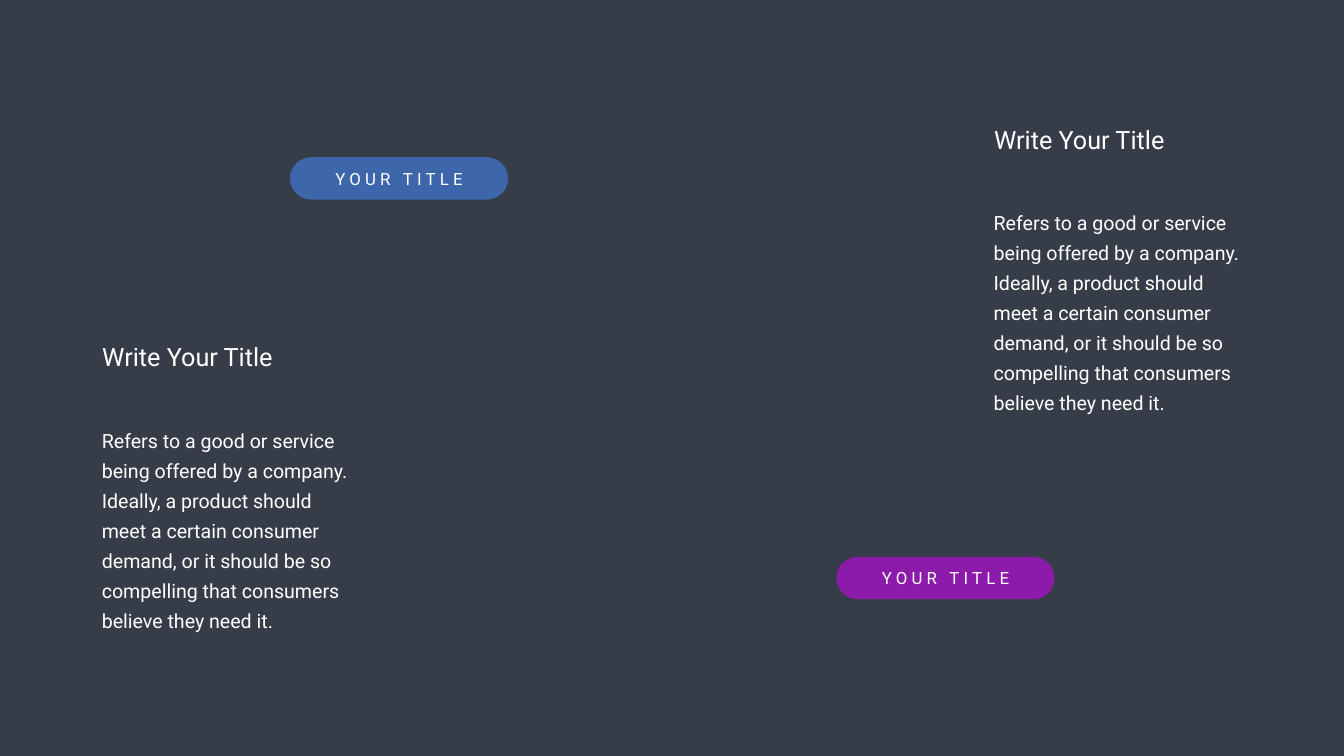
from pptx import Presentation
from pptx.dml.color import RGBColor
from pptx.enum import shapes, text
from pptx.util import Pt

SLIDE_SIZE = (1919.52, 1080)
BACKGROUND, WHITE = "363D48", "FFFFFF"
LABEL = "YOUR TITLE"
HEADING = "Write Your Title"
BODY = (
    "Refers to a good or service being offered by a company. "
    "Ideally, a product should meet a certain consumer demand, "
    "or it should be so compelling that consumers believe they need it."
)
BUTTONS = [(1194.48, 795.6, "8C1BAB"), (414, 224.64, "3D67AA")]
ARTICLES = [(128.16, 594), (1401.84, 282.96)]
BUTTON_SIZE, LABEL_SIZE = (311.76, 60.48), (207.36, 36)
BODY_SIZE, HEADING_SIZE = (389.52, 317.52), (378.72, 51.12)
HEADING_RISE = 109.44
BODY_FRAME = {
    "margin_left": Pt(17.28),
    "margin_right": Pt(17.28),
    "margin_top": Pt(8.64),
    "margin_bottom": Pt(8.64),
}


def paint(fill, color):
    """Fill with one solid colour."""
    fill.solid()
    fill.fore_color.rgb = RGBColor.from_string(color)


def apply(target, values):
    """Set each attribute named in the format values."""
    for name, value in values.items():
        setattr(target, name, value)


def add_words(group, words, left, top, size, points, frame=None, paragraph=None):
    """Add white text to the group and return its run."""
    box = group.shapes.add_textbox(Pt(left), Pt(top), *map(Pt, size))
    apply(box.text_frame, {
        "word_wrap": True,
        "auto_size": text.MSO_AUTO_SIZE.SHAPE_TO_FIT_TEXT,
        **(frame or {}),
    })
    line = box.text_frame.paragraphs[0]
    apply(line, paragraph or {})
    run = line.add_run()
    run.text = words
    apply(run.font, {"name": "Roboto", "size": Pt(points)})
    paint(run.font.fill, WHITE)
    return run


def add_button(slide, left, top, color):
    """Add a pill with a widely spaced label centred on it."""
    group = slide.shapes.add_group_shape()
    pill = group.shapes.add_shape(
        shapes.MSO_SHAPE.ROUNDED_RECTANGLE, Pt(left), Pt(top), *map(Pt, BUTTON_SIZE))
    pill.adjustments[0] = 0.5
    pill.shadow.inherit = False
    paint(pill.fill, color)
    pill.line.fill.background()
    inset_x, inset_y = [(outer - inner) / 2 for outer, inner in zip(BUTTON_SIZE, LABEL_SIZE)]
    label = add_words(
        group, LABEL, left + inset_x, top + inset_y, LABEL_SIZE, 24,
        {"word_wrap": False}, {"alignment": text.PP_ALIGN.CENTER})
    label.font._element.set("spc", "600")


def add_article(slide, left, top):
    """Add a body text with its heading above, both ending at the same right edge."""
    group = slide.shapes.add_group_shape()
    add_words(group, BODY, left, top, BODY_SIZE, 28, BODY_FRAME, {"line_spacing": Pt(43)})
    heading_left = left + BODY_SIZE[0] - HEADING_SIZE[0]
    add_words(group, HEADING, heading_left, top - HEADING_RISE, HEADING_SIZE, 36)


def main():
    """Build the slide and save it."""
    deck = Presentation()
    deck.slide_width, deck.slide_height = map(Pt, SLIDE_SIZE)
    slide = deck.slides.add_slide(deck.slide_layouts[6])
    paint(slide.background.fill, BACKGROUND)
    for button in BUTTONS:
        add_button(slide, *button)
    for article in ARTICLES:
        add_article(slide, *article)
    deck.save("out.pptx")


if __name__ == "__main__":
    main()
